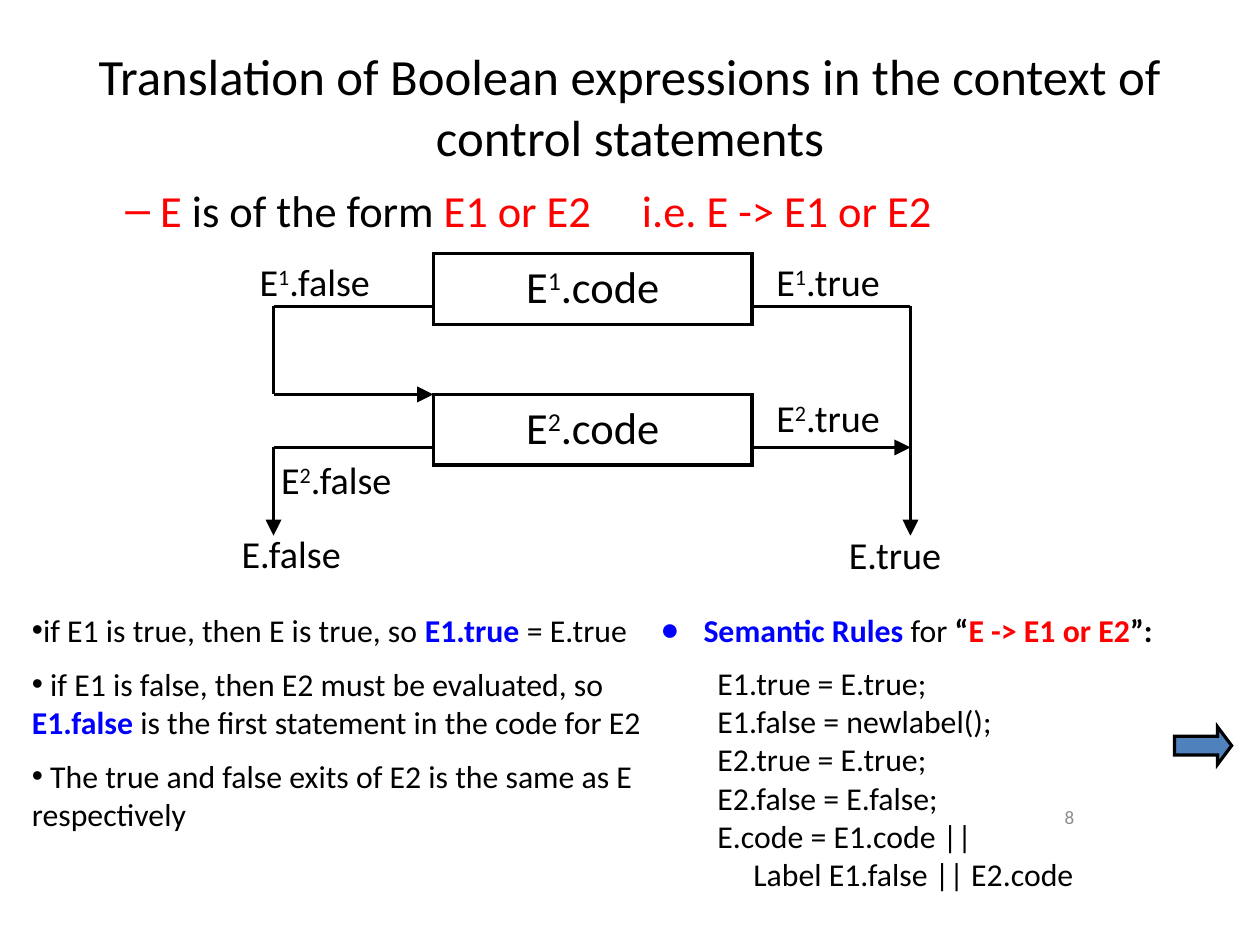
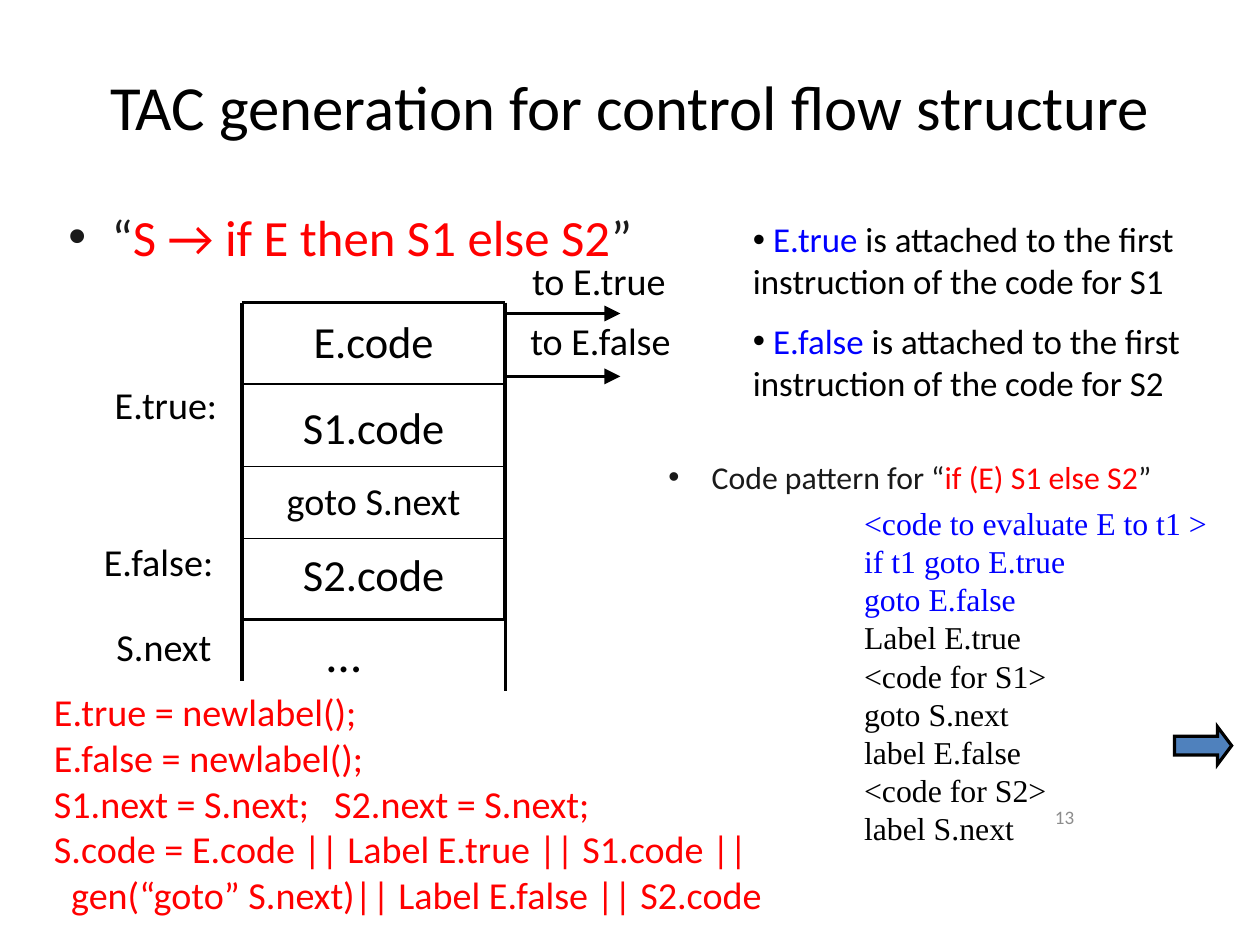
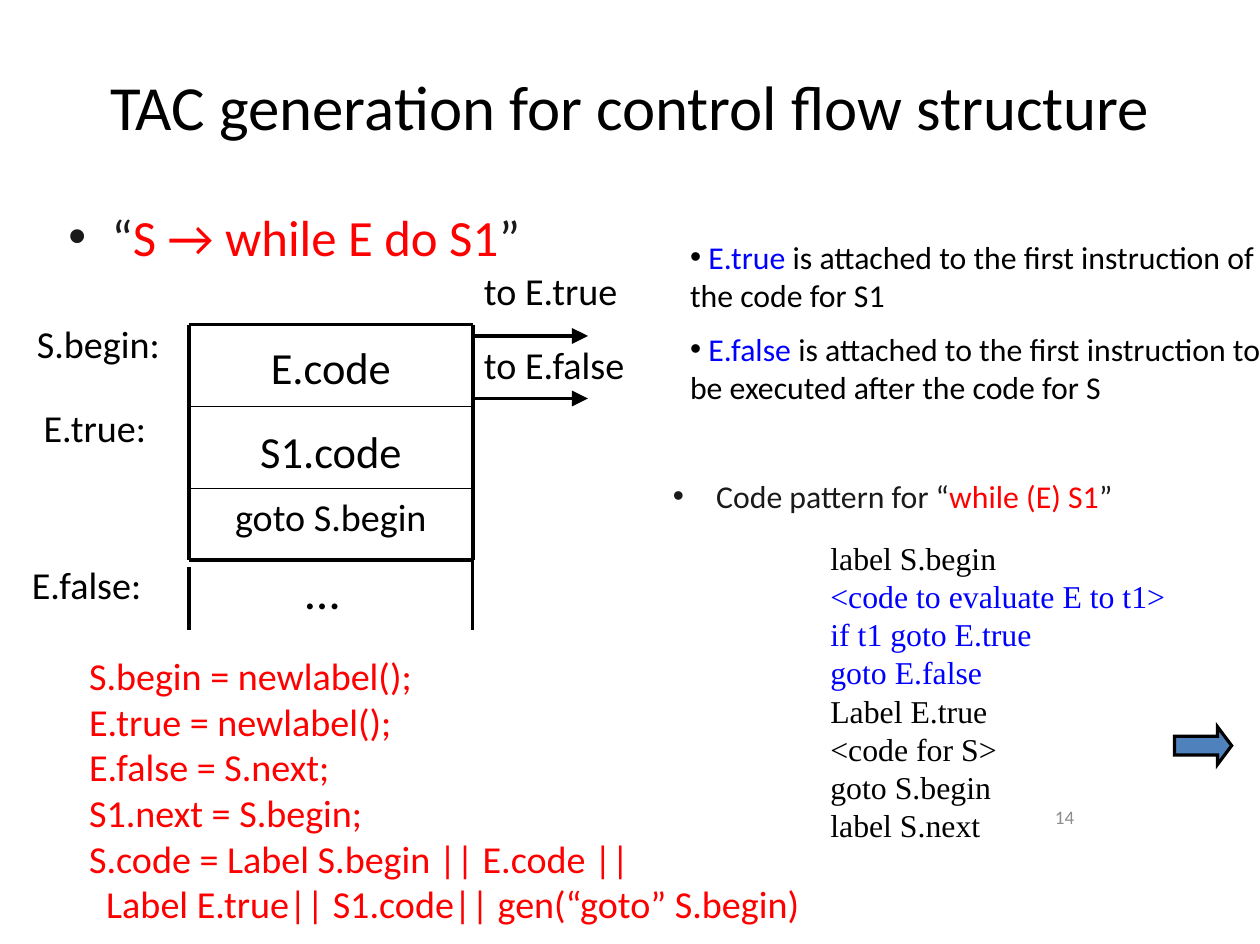
from typing import NamedTuple

from lxml.etree import SubElement
from pptx import Presentation
from pptx.dml.color import RGBColor
from pptx.enum.shapes import MSO_CONNECTOR, MSO_SHAPE
from pptx.enum.text import MSO_ANCHOR, PP_ALIGN
from pptx.oxml.ns import qn
from pptx.util import Cm, Pt

BLACK = RGBColor(0x00, 0x00, 0x00)
WHITE = RGBColor(0xFF, 0xFF, 0xFF)
RED = RGBColor(0xFF, 0x00, 0x00)
BLUE = RGBColor(0x00, 0x00, 0xFF)
CHARCOAL = RGBColor(0x1A, 0x1A, 0x1A)
GRAY = RGBColor(0x8C, 0x8C, 0x8C)
ARROW_BLUE = RGBColor(0x4F, 0x81, 0xBD)
SANS = "Calibri"
SERIF = "Times New Roman"
HANG = 0.96


class Span(NamedTuple):
    """A stretch of text with its own look."""
    text: str
    color: RGBColor = BLACK
    bold: bool = False
    raised: bool = False


def mark_paragraph(para, bullet, bullet_color, hang, tab):
    """Add the bullet, hanging indent and tab stop of a paragraph."""
    properties = para._p.get_or_add_pPr()
    if hang:
        properties.set("marL", str(Cm(hang)))
        properties.set("indent", str(-Cm(hang)))
    if bullet:
        if bullet_color is not None:
            holder = SubElement(properties, qn("a:buClr"))
            SubElement(holder, qn("a:srgbClr"), val=str(bullet_color))
        SubElement(properties, qn("a:buFont"), typeface="Arial")
        SubElement(properties, qn("a:buChar"), char=bullet)
    if tab:
        stops = SubElement(properties, qn("a:tabLst"))
        SubElement(stops, qn("a:tab"), pos=str(Cm(tab)), algn="l")


def write(frame, lines, size, color=BLACK, font=SANS, align=PP_ALIGN.LEFT, gap=0,
          bullet=None, bullet_color=None, hang=0, tab=0):
    """Fill a text frame; a line is a string or a list of spans."""
    frame.word_wrap = True
    for index, line in enumerate(lines):
        para = frame.add_paragraph() if index else frame.paragraphs[0]
        mark_paragraph(para, bullet, bullet_color, hang, tab)
        para.alignment = align
        para.space_before = Pt(gap if index else 0)
        para.font.size = Pt(size)
        para.font.name = font
        for span in [Span(line, color)] if isinstance(line, str) else line:
            run = para.add_run()
            run.text = span.text
            run.font.color.rgb = span.color
            if span.bold:
                run.font.bold = True
            if span.raised:
                run._r.get_or_add_rPr().set("baseline", "30000")


def add_text(page, left, top, width, height, lines, size,
             anchor=MSO_ANCHOR.TOP, **style):
    """Place a text box and return it."""
    box = page.shapes.add_textbox(Cm(left), Cm(top), Cm(width), Cm(height))
    box.text_frame.vertical_anchor = anchor
    write(box.text_frame, lines, size, **style)
    return box


def add_label(page, left, top, line, size=24):
    """Place a one-line diagram label."""
    add_text(page, left, top, 4, 1.3, [line], size)


def add_line(page, start, end, weight=2, arrow=False):
    """Draw a straight black line, with an arrowhead if wanted."""
    line = page.shapes.add_connector(
        MSO_CONNECTOR.STRAIGHT, *(Cm(length) for length in (*start, *end)))
    line.line.color.rgb = BLACK
    line.line.width = Pt(weight)
    if arrow:
        SubElement(line.line._get_or_add_ln(), qn("a:tailEnd"),
                   type="triangle", w="lg", len="lg")
    SubElement(line._element.spPr, qn("a:effectLst"))


def add_outlined(page, kind, left, top, width, height, fill):
    """Draw a filled shape with a sharp black outline."""
    shape = page.shapes.add_shape(kind, Cm(left), Cm(top), Cm(width), Cm(height))
    shape.shadow.inherit = False
    shape.fill.solid()
    shape.fill.fore_color.rgb = fill
    shape.line.color.rgb = BLACK
    shape.line.width = Pt(2)
    SubElement(shape.line._get_or_add_ln(), qn("a:miter"), lim="800000")
    return shape


def add_page(deck, title, title_size):
    """Add a blank slide with its title."""
    page = deck.slides.add_slide(deck.slide_layouts[6])
    add_text(page, 0.46, 0.76, 27.1, 3.18, [title], title_size,
             MSO_ANCHOR.MIDDLE, align=PP_ALIGN.CENTER)
    return page


def add_footer(page, number):
    """Add the block arrow and the page number."""
    arrow = add_outlined(page, MSO_SHAPE.RIGHT_ARROW, 26.11, 16.16, 1.27, 0.84, ARROW_BLUE)
    arrow.adjustments[0] = 0.5
    arrow.adjustments[1] = 0.375
    add_text(page, 18.21, 17.66, 5.92, 1.02, [str(number)], 12,
             MSO_ANCHOR.MIDDLE, color=GRAY, align=PP_ALIGN.RIGHT)


def indexed(index, suffix):
    """Return the spans of E with a raised index and a suffix."""
    return [Span("E"), Span(index, raised=True), Span(suffix)]


def quoted(rule, lead=""):
    """Return the spans of a red rule in dark quotes."""
    return [Span(lead + "“", CHARCOAL), Span(rule, RED), Span("”", CHARCOAL)]


def attached(name, rest):
    """Return the spans of a note on where a label is attached."""
    return [Span(" "), Span(name, BLUE), Span(" is attached to the first instruction " + rest)]


def add_flow_page(deck, rule):
    """Add a control flow slide headed by its grammar rule."""
    page = add_page(deck, "TAC generation for control flow structure", 39.6)
    add_text(page, 1.27, 4.45, 25.86, 16.05, [quoted(rule)], 32, bullet="•", hang=HANG)
    return page


def add_notes(page, left, top, width, height, lines, size):
    """Place the bulleted notes beside the code column."""
    box = add_text(page, left, top, width, height, lines, size,
                   gap=size / 2, bullet="•", bullet_color=BLACK)
    frame = box.text_frame
    frame.margin_left = frame.margin_right = Cm(0.28)
    frame.margin_top = frame.margin_bottom = Cm(0.15)


def add_code_column(page, left, right, cells, bottom, tails):
    """Draw the stack of code blocks; a cell is line height, text top, text, size."""
    for index, (top, text_top, text, size) in enumerate(cells):
        add_text(page, left, text_top, right - left, 1.8, [text], size, align=PP_ALIGN.CENTER)
        add_line(page, (left, top), (right, top), 1 if index else 2.25)
    add_line(page, (left, bottom), (right, bottom), 2.25)
    for side, (tail_top, tail_bottom) in zip((left, right), tails):
        add_line(page, (side, cells[0][0]), (side, bottom), 2.25)
        add_line(page, (side, tail_top), (side, tail_bottom))


def add_exits(page, left, heights):
    """Draw the arrows that leave the condition block."""
    for height in heights:
        add_line(page, (left, height), (left + 2.56, height), arrow=True)


def add_pattern(page, heading_at, rule, code_at, lines):
    """Place the code pattern under its heading."""
    add_text(page, *heading_at, 13.2, 9.8, [quoted(rule, "Code pattern for ")], 20,
             bullet="•", hang=HANG)
    add_text(page, *code_at, 9.3, 7.5, lines, 20, font=SERIF)


def build_or_page(deck):
    """Build the slide on the translation of E1 or E2."""
    page = add_page(
        deck, "Translation of Boolean expressions in the context of control statements", 32)
    add_text(page, 2.54, 3.94, 24.59, 16.56,
             [[Span(" E ", RED), Span("is of the form "),
               Span("E1 or E2\ti.e. E -> E1 or E2", RED)]],
             28, bullet="–", tab=11.48)
    for index, top in (("1", 5.64), ("2", 8.77)):
        block = add_outlined(page, MSO_SHAPE.RECTANGLE, 9.63, top, 7.09, 1.57, WHITE)
        block.text_frame.vertical_anchor = MSO_ANCHOR.TOP
        write(block.text_frame, [indexed(index, ".code")], 28, align=PP_ALIGN.CENTER)

    false_x, block_left, block_right, true_x = 6.08, 9.63, 16.7, 20.24
    first_exit, second_entry, second_exit, end = 6.81, 8.77, 9.95, 11.91
    for start, finish, arrow in (
        ((false_x, first_exit), (block_left, first_exit), False),
        ((false_x, first_exit), (false_x, second_entry), False),
        ((false_x, second_entry), (block_left, second_entry), True),
        ((false_x, second_exit), (block_left, second_exit), False),
        ((false_x, second_exit), (false_x, end), True),
        ((block_right, first_exit), (true_x, first_exit), False),
        ((true_x, first_exit), (true_x, end), True),
        ((block_right, second_exit), (true_x, second_exit), True),
    ):
        add_line(page, start, finish, arrow=arrow)
    for left, top, line in (
        (5.52, 5.63, indexed("1", ".false")),
        (6, 10.03, indexed("2", ".false")),
        (5.12, 11.67, "E.false"),
        (17.01, 5.63, indexed("1", ".true")),
        (17.01, 8.65, indexed("2", ".true")),
        (18.62, 11.69, "E.true"),
    ):
        add_label(page, left, top, line)

    add_text(page, 0.46, 13.46, 14.86, 7.09, [
        [Span("if E1 is true, then E is true, so "), Span("E1.true ", BLUE, True),
         Span("= E.true")],
        [Span(" if E1 is false, then E2 must be evaluated, so "),
         Span("E1.false ", BLUE, True),
         Span("is the first statement in the code for E2")],
        " The true and false exits of E2 is the same as E respectively",
    ], 20, gap=10, bullet="•", bullet_color=BLACK)
    add_text(page, 15.7, 14.64, 12.3, 5.38, [
        "E1.true = E.true;",
        "E1.false = newlabel();",
        "E2.true = E.true;",
        "E2.false = E.false;",
        "E.code = E1.code ||",
        "     Label E1.false || E2.code",
    ], 20)
    add_text(page, 14.43, 13.46, 13.58, 1.12, [
        [Span("Semantic Rules ", BLUE, True), Span("for "), Span("“", bold=True),
         Span("E -> E1 or E2", RED, True), Span("”:", bold=True)],
    ], 20, bullet="●", hang=HANG)
    add_footer(page, 8)


def build_if_page(deck):
    """Build the slide on if-then-else."""
    page = add_flow_page(deck, "S → if E then S1 else S2")
    add_notes(page, 16.46, 4.7, 11.73, 5.46, [
        attached("E.true", "of the code for S1"),
        attached("E.false", "of the code for S2"),
    ], 22)
    add_text(page, 0.95, 15.19, 18.85, 5.38, [
        "E.true = newlabel();",
        "E.false = newlabel();",
        "S1.next = S.next;\tS2.next = S.next;",
        "S.code = E.code || Label E.true || S1.code ||",
        "  gen(“goto” S.next)|| Label E.false || S2.code",
    ], 24, color=RED, tab=6.23)
    add_code_column(page, 5.38, 11.23, [
        (6.73, 6.86, "E.code", 28),
        (8.54, 8.77, "S1.code", 28),
        (10.37, 10.49, "goto S.next", 24),
        (11.97, 12.04, "S2.code", 28),
    ], 13.77, [(13.74, 15.14), (13.74, 15.37)])
    add_exits(page, 11.23, (6.97, 8.37))
    for left, top, line in (
        (11.58, 5.6, "to E.true"),
        (11.54, 6.93, "to E.false"),
        (2.3, 8.36, "E.true:"),
        (2.06, 11.85, "E.false:"),
        (2.34, 13.74, "S.next"),
    ):
        add_label(page, left, top, line)
    add_label(page, 7.02, 13.74, "…", 31)
    add_pattern(page, (14.61, 10.06), "if (E) S1 else S2", (18.96, 11.08), [
        [Span("<code to evaluate E to t1 >", BLUE)],
        [Span("if t1 goto E.true", BLUE)],
        [Span("goto E.false", BLUE)],
        "Label E.true",
        "<code for S1>",
        "goto S.next",
        "label E.false",
        "<code for S2>",
        "label S.next",
    ])
    add_footer(page, 13)


def build_while_page(deck):
    """Build the slide on while-do."""
    page = add_flow_page(deck, "S → while E do S1")
    add_notes(page, 15.06, 5.13, 13.31, 4.98, [
        attached("E.true", "of the code for S1"),
        attached("E.false", "to be executed after the code for S"),
    ], 20)
    add_text(page, 1.73, 14.38, 25.83, 6.4, [
        "S.begin = newlabel();",
        "E.true = newlabel();",
        "E.false = S.next;",
        "S1.next = S.begin;",
        "S.code = Label S.begin || E.code ||",
        "  Label E.true|| S1.code|| gen(“goto” S.begin)",
    ], 24, color=RED)
    add_code_column(page, 4.2, 10.51, [
        (7.22, 7.44, "E.code", 28),
        (9.04, 9.3, "S1.code", 28),
        (10.86, 10.85, "goto S.begin", 24),
    ], 12.45, [(12.6, 14), (12.34, 14)])
    add_exits(page, 10.51, (7.47, 8.86))
    for left, top, line in (
        (10.51, 5.82, "to E.true"),
        (10.51, 7.47, "to E.false"),
        (0.57, 6.99, "S.begin:"),
        (0.72, 8.87, "E.true:"),
        (0.46, 12.35, "E.false:"),
    ):
        add_label(page, left, top, line)
    add_label(page, 6.54, 12.34, "…", 31)
    add_pattern(page, (14.71, 10.47), "while (E) S1", (18.21, 11.86), [
        "label S.begin",
        [Span("<code to evaluate E to t1>", BLUE)],
        [Span("if t1 goto E.true", BLUE)],
        [Span("goto E.false", BLUE)],
        "Label E.true",
        "<code for S>",
        "goto S.begin",
        "label S.next",
    ])
    add_footer(page, 14)


def main():
    """Build and save the deck."""
    deck = Presentation()
    deck.slide_width = Cm(28.01)
    deck.slide_height = Cm(20.99)
    build_or_page(deck)
    build_if_page(deck)
    build_while_page(deck)
    deck.save("out.pptx")


if __name__ == "__main__":
    main()
